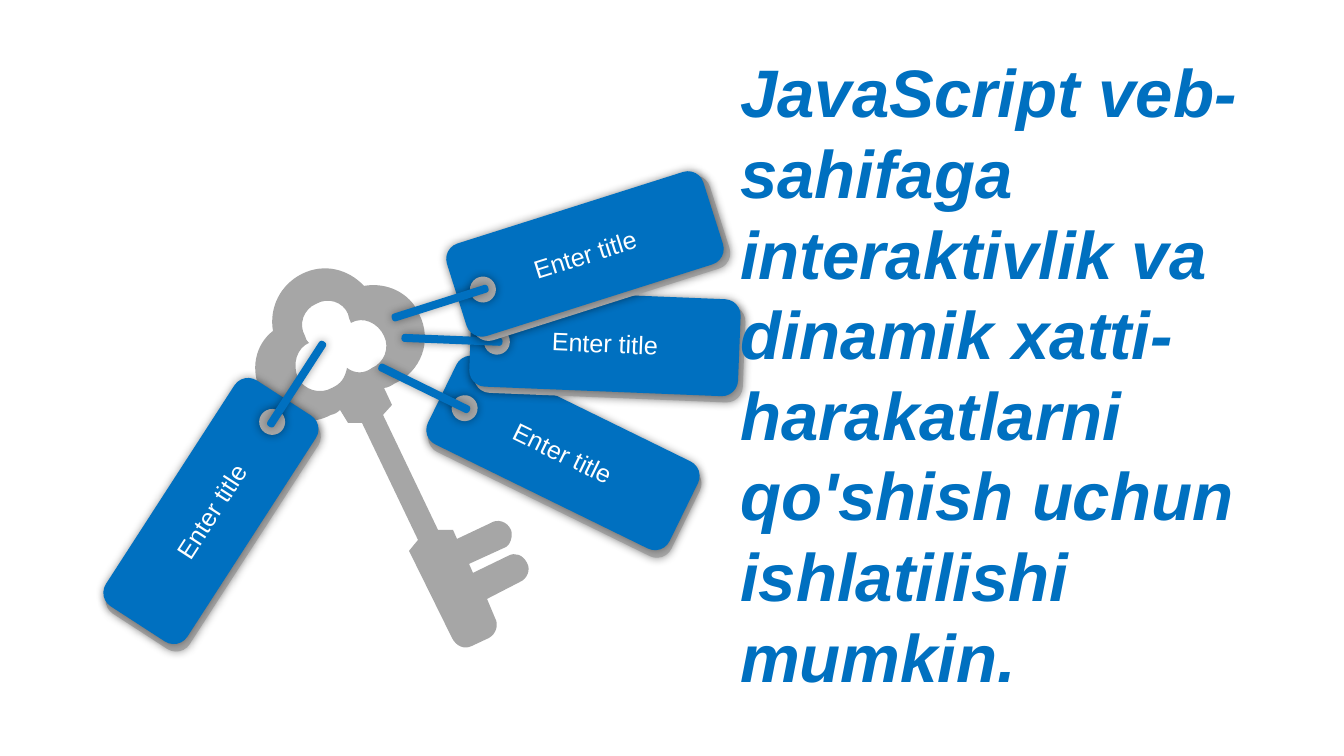
from dataclasses import dataclass
from math import cos, radians, sin

from lxml import etree
from pptx import Presentation
from pptx.dml.color import RGBColor
from pptx.enum.shapes import MSO_SHAPE
from pptx.enum.text import MSO_ANCHOR, MSO_AUTO_SIZE, PP_ALIGN
from pptx.oxml.ns import qn
from pptx.util import Pt

ROUNDED, OVAL = MSO_SHAPE.ROUNDED_RECTANGLE, MSO_SHAPE.OVAL
MIDDLE, CENTER = MSO_ANCHOR.MIDDLE, PP_ALIGN.CENTER
GROW, NO_FIT = MSO_AUTO_SIZE.SHAPE_TO_FIT_TEXT, MSO_AUTO_SIZE.NONE


@dataclass(frozen=True)
class Theme:
    blue: RGBColor = RGBColor(0x00, 0x70, 0xC0)
    gray: RGBColor = RGBColor(0xA6, 0xA6, 0xA6)
    white: RGBColor = RGBColor(0xFF, 0xFF, 0xFF)
    font: str = "Arial"
    message_size: float = 36
    label_size: float = 13.5


THEME = Theme()

# Content: lengths in px
SLIDE_SIZE = (1344, 756)
PX_PER_INCH = 134.4
MESSAGE = ("JavaScript veb-sahifaga interaktivlik va dinamik xatti-harakatlarni "
           "qo'shish uchun ishlatilishi mumkin.")
MESSAGE_BOX = (727, 44, 601, 641)

# Tags from back to front: label, centre, angle, side of the hole (-1 left, 1 right)
TAGS = [
    ("Enter title", (563, 453), 26.1, -1),
    ("Enter title", (605, 343), 2.3, -1),
    ("Enter title", (585, 254), -17.6, -1),
    ("Enter title", (211, 511), -57.1, 1),
]

# Tag parts: size, and offset from the tag centre (outwards to the hole, down)
LABEL_SIZE = (269, 97)
EDGE_OFFSET = (-5, 6)
HOLE_SIZE, HOLE_OFFSET = (26, 26), (108, 3)
STRING_SIZE, STRING_OFFSET = (8, 101), (153, 3)
STRING_ROUNDING = 0.39
LABEL_INSET = 3

# Key contours: a start point, then lines (x, y) or curves (control, control, end)
KEY_OUTLINE = [
    (261, 392), (273, 418, 305, 429, 331, 415), (335, 414, 337, 413, 340, 410),
    (348, 423), (362, 423), (418, 540), (409, 551), (452, 638),
    (456, 646, 464, 650, 472, 646), (489, 638), (496, 634, 499, 625, 495, 618),
    (487, 599), (520, 582), (527, 579, 531, 570, 527, 563),
    (523, 555, 515, 552, 508, 556), (473, 573), (469, 564), (504, 548),
    (511, 546, 513, 535, 511, 530), (507, 521, 497, 519, 491, 523),
    (457, 539), (453, 530), (438, 530), (383, 415), (392, 405), (384, 388),
    (387, 388, 391, 386, 394, 384), (421, 372, 433, 341, 419, 314),
    (410, 293, 387, 282, 364, 286), (348, 269, 324, 263, 302, 274),
    (280, 285, 269, 308, 273, 331), (255, 345, 250, 370, 261, 392),
]
KEY_OPENING = [
    (316, 304), (328, 297, 343, 302, 348, 314), (349, 317, 349, 320, 351, 323),
    (363, 316, 378, 323, 384, 336), (390, 348, 384, 363, 372, 368),
    (364, 374, 355, 374, 347, 368), (345, 378, 341, 384, 332, 388),
    (320, 395, 304, 390, 298, 378), (292, 364, 297, 348, 309, 343),
    (306, 340, 306, 339, 305, 336), (298, 324, 304, 309, 316, 304),
]


def px(length):
    return round(length * 914400 / PX_PER_INCH)


def paint(shape, color):
    shape.shadow.inherit = False
    shape.fill.solid()
    shape.fill.fore_color.rgb = color
    shape.line.fill.background()


def set_font(paragraph, size, color):
    font = paragraph.font
    font.name, font.size, font.color.rgb = THEME.font, Pt(size), color
    return font


def add_glow_shadow(shape):
    effects = shape._element.spPr.find(qn("a:effectLst"))
    shadow = etree.SubElement(effects, qn("a:outerShdw"), blurRad=str(Pt(5)),
                              dist="0", dir="0", algn="ctr", rotWithShape="0")
    color = etree.SubElement(shadow, qn("a:srgbClr"), val="000000")
    etree.SubElement(color, qn("a:alpha"), val="40000")


def contour_points(contour):
    values = [px(value) for segment in contour for value in segment]
    return list(zip(values[::2], values[1::2]))


def bend_curves(shape, contours):
    """Join the three lines that stand for each curve into one cubic segment."""
    lines = iter(list(shape._element.iter(qn("a:lnTo"))))
    for contour in contours:
        for segment in contour[1:]:
            first = next(lines)
            if len(segment) == 2:
                continue
            curve = etree.Element(qn("a:cubicBezTo"))
            first.addprevious(curve)
            for line in (first, next(lines), next(lines)):
                curve.append(line[0])
                line.getparent().remove(line)


def add_key(slide):
    outline, opening = contour_points(KEY_OUTLINE), contour_points(KEY_OPENING)
    builder = slide.shapes.build_freeform(*outline[0])
    builder.add_line_segments(outline[1:], close=True)
    builder.move_to(*opening[0])
    builder.add_line_segments(opening[1:], close=True)
    key = builder.convert_to_shape()
    bend_curves(key, (KEY_OUTLINE, KEY_OPENING))
    paint(key, THEME.gray)


def add_tag(slide, text, center, angle, side):
    group = slide.shapes.add_group_shape()
    cosine, sine = cos(radians(angle)), sin(radians(angle))

    def add_part(kind, size, color, offset=(0, 0), turn=0):
        across, down = offset[0] * side, offset[1]
        x = center[0] + across * cosine - down * sine
        y = center[1] + across * sine + down * cosine
        width, height = size
        part = group.shapes.add_shape(kind, px(x - width / 2), px(y - height / 2),
                                      px(width), px(height))
        part.rotation = (angle + turn) % 360
        paint(part, color)
        add_glow_shadow(part)
        return part

    add_part(ROUNDED, LABEL_SIZE, THEME.gray, EDGE_OFFSET)
    label = add_part(ROUNDED, LABEL_SIZE, THEME.blue)
    add_part(OVAL, HOLE_SIZE, THEME.gray, HOLE_OFFSET, 90 * side)
    string = add_part(ROUNDED, STRING_SIZE, THEME.blue, STRING_OFFSET, 90 * side)
    string.adjustments[0] = STRING_ROUNDING

    frame = label.text_frame
    frame.word_wrap, frame.auto_size, frame.vertical_anchor = False, NO_FIT, MIDDLE
    frame.margin_left = frame.margin_right = px(LABEL_INSET)
    frame.margin_top = frame.margin_bottom = px(LABEL_INSET)
    paragraph = frame.paragraphs[0]
    paragraph.text, paragraph.alignment = text, CENTER
    set_font(paragraph, THEME.label_size, THEME.white)


def add_message(slide):
    frame = slide.shapes.add_textbox(*map(px, MESSAGE_BOX)).text_frame
    frame.word_wrap, frame.auto_size = True, GROW
    paragraph = frame.paragraphs[0]
    paragraph.text = MESSAGE
    font = set_font(paragraph, THEME.message_size, THEME.blue)
    font.bold = font.italic = True


def main():
    presentation = Presentation()
    presentation.slide_width, presentation.slide_height = map(px, SLIDE_SIZE)
    slide = presentation.slides.add_slide(presentation.slide_layouts[6])
    add_key(slide)
    for tag in TAGS:
        add_tag(slide, *tag)
    add_message(slide)
    presentation.save("out.pptx")


if __name__ == "__main__":
    main()
